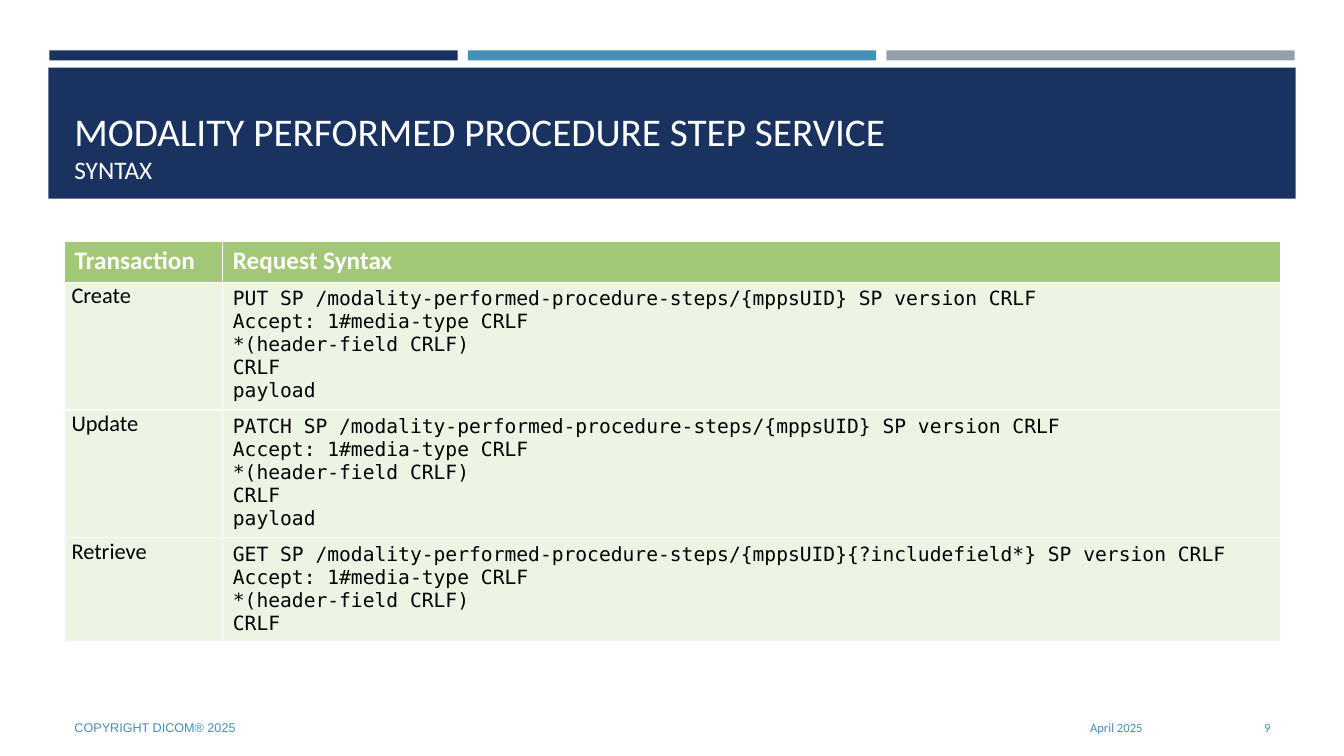
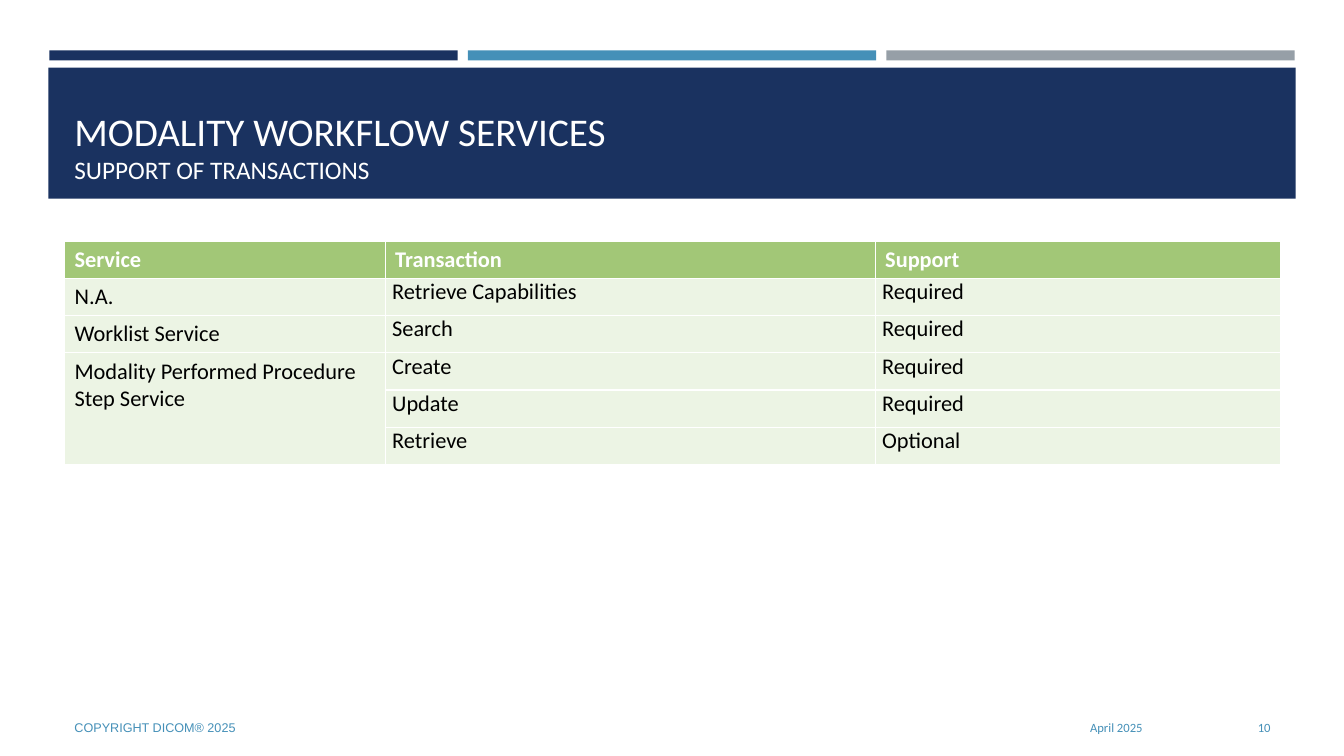
from dataclasses import dataclass

from pptx import Presentation
from pptx.dml.color import RGBColor
from pptx.enum.shapes import MSO_SHAPE
from pptx.enum.text import MSO_ANCHOR, PP_ALIGN
from pptx.util import Emu, Pt

EMU_PER_PX = 9144
NAVY, BLUE, GRAY = "1A3260", "4590B8", "969FA7"
GREEN, PALE_GREEN = "A2C777", "ECF4E4"
WHITE, BLACK = "FFFFFF", "000000"
SANS, FOOTER_SANS, MONO = "Calibri", "Arial", "DejaVu Sans Mono"
MARGIN, CONTENT_WIDTH = 64, 1206
TABLE_TOP = 239
FOOTER_TOP, FOOTER_HEIGHT = 702, 40
BAR_LEFT, BAR_TOP, BAR_WIDTH, BAR_HEIGHT, BAR_GAP = 49, 50, 405, 10, 10


@dataclass(frozen=True)
class CellStyle:
    """Look of the text and ground of a table cell."""

    size: int
    face: str = SANS
    color: str = BLACK
    bold: bool = False
    fill: str = PALE_GREEN
    compact: bool = False


LABEL = CellStyle(16)
COMPACT = CellStyle(16, compact=True)
CODE = CellStyle(14, MONO)


def px(length):
    """Turn px into EMU."""
    return Emu(length * EMU_PER_PX)


def rgb(value):
    """Turn a hex string into a colour."""
    return RGBColor.from_string(value)


def set_font(font, size, face, color, bold=False):
    """Set the look of a font."""
    font.size = Pt(size)
    font.name = face
    font.bold = bold
    font.color.rgb = rgb(color)


def add_band(slide, left, top, width, height, color):
    """Add a plain filled rectangle."""
    band = slide.shapes.add_shape(
        MSO_SHAPE.RECTANGLE, px(left), px(top), px(width), px(height))
    band.fill.solid()
    band.fill.fore_color.rgb = rgb(color)
    band.line.fill.background()
    band.shadow.inherit = False


def add_text_frame(slide, left, top, width, height, anchor):
    """Add a wrapping text box and return its frame."""
    frame = slide.shapes.add_textbox(
        px(left), px(top), px(width), px(height)).text_frame
    frame.word_wrap = True
    frame.vertical_anchor = anchor
    return frame


def add_title(slide, title, subtitle):
    """Add the title with its smaller second line."""
    frame = add_text_frame(
        slide, MARGIN, 77, CONTENT_WIDTH, 111, MSO_ANCHOR.BOTTOM)
    heading = frame.paragraphs[0]
    for line, size in ((title, 28), (subtitle, 18)):
        if heading.runs:
            heading.add_line_break()
        run = heading.add_run()
        run.text = line
        set_font(run.font, size, SANS, WHITE)


def add_footer(slide, text, left, width, face=SANS, align=PP_ALIGN.RIGHT):
    """Add one footer entry."""
    frame = add_text_frame(
        slide, left, FOOTER_TOP, width, FOOTER_HEIGHT, MSO_ANCHOR.MIDDLE)
    frame.text = text
    entry = frame.paragraphs[0]
    entry.alignment = align
    set_font(entry.font, 9, face, BLUE)


def add_framed_slide(deck, title, subtitle, number):
    """Add a slide with bars, title band and footers."""
    slide = deck.slides.add_slide(deck.slide_layouts[6])
    for index, color in enumerate((NAVY, BLUE, GRAY)):
        left = BAR_LEFT + index * (BAR_WIDTH + BAR_GAP)
        add_band(slide, left, BAR_TOP, BAR_WIDTH, BAR_HEIGHT, color)
    add_band(slide, 48, 67, 1237, 130, NAVY)
    add_title(slide, title, subtitle)
    add_footer(slide, "April 2025", 832, 311)
    add_footer(slide, "COPYRIGHT DICOM® 2025", MARGIN, 756,
               FOOTER_SANS, PP_ALIGN.LEFT)
    add_footer(slide, str(number), 1155, 115)
    return slide


def fill_cell(cell, text, style):
    """Write text into a cell in the given style."""
    cell.text = text
    cell.fill.solid()
    cell.fill.fore_color.rgb = rgb(style.fill)
    if style.compact:
        cell.margin_left = cell.margin_right = px(7)
        cell.margin_top = cell.margin_bottom = 0
    for line in cell.text_frame.paragraphs:
        set_font(line.font, style.size, style.face, style.color, style.bold)
        if style.compact:
            line.space_before = line.space_after = Pt(2)


def add_grid(slide, rows, widths, heights, header_size, column_styles):
    """Add a table with a green header and one style per column."""
    table = slide.shapes.add_table(
        len(rows), len(widths), px(MARGIN), px(TABLE_TOP),
        px(sum(widths)), px(sum(heights))).table
    table.horz_banding = False
    for column, width in zip(table.columns, widths):
        column.width = px(width)
    for row, height in zip(table.rows, heights):
        row.height = px(height)
    header = CellStyle(header_size, color=WHITE, bold=True, fill=GREEN)
    for row_index, texts in enumerate(rows):
        for column_index, text in enumerate(texts):
            style = column_styles[column_index] if row_index else header
            fill_cell(table.cell(row_index, column_index), text, style)
    return table


def request_syntax(request, *ending):
    """Return the lines of a request."""
    return "\n".join((f"{request} SP version CRLF", "Accept: 1#media-type CRLF",
                      "*(header-field CRLF)", "CRLF", *ending))


def add_syntax_slide(deck):
    """Add the slide on request syntax."""
    slide = add_framed_slide(
        deck, "MODALITY PERFORMED PROCEDURE STEP SERVICE", "SYNTAX", 9)
    step = "SP /modality-performed-procedure-steps/{mppsUID}"
    rows = (
        ("Transaction", "Request Syntax"),
        ("Create", request_syntax(f"PUT {step}", "payload")),
        ("Update", request_syntax(f"PATCH {step}", "payload")),
        ("Retrieve", request_syntax(f"GET {step}{{?includefield*}}")),
    )
    add_grid(slide, rows, (157, 1049), (41, 124, 124, 101), 18, (COMPACT, CODE))


def add_support_slide(deck):
    """Add the slide on support of transactions."""
    slide = add_framed_slide(
        deck, "MODALITY WORKFLOW SERVICES", "SUPPORT OF TRANSACTIONS", 10)
    rows = (
        ("Service", "Transaction", "Support"),
        ("N.A.", "Retrieve Capabilities", "Required"),
        ("Worklist Service", "Search", "Required"),
        ("Modality Performed Procedure Step Service", "Create", "Required"),
        ("", "Update", "Required"),
        ("", "Retrieve", "Optional"),
    )
    table = add_grid(slide, rows, (318, 486, 402), (37,) * len(rows), 16,
                     (LABEL, COMPACT, COMPACT))
    table.cell(3, 0).merge(table.cell(5, 0))


def main():
    """Build and save the deck."""
    deck = Presentation()
    deck.slide_width, deck.slide_height = px(1333), px(750)
    add_syntax_slide(deck)
    add_support_slide(deck)
    deck.save("out.pptx")


if __name__ == "__main__":
    main()
